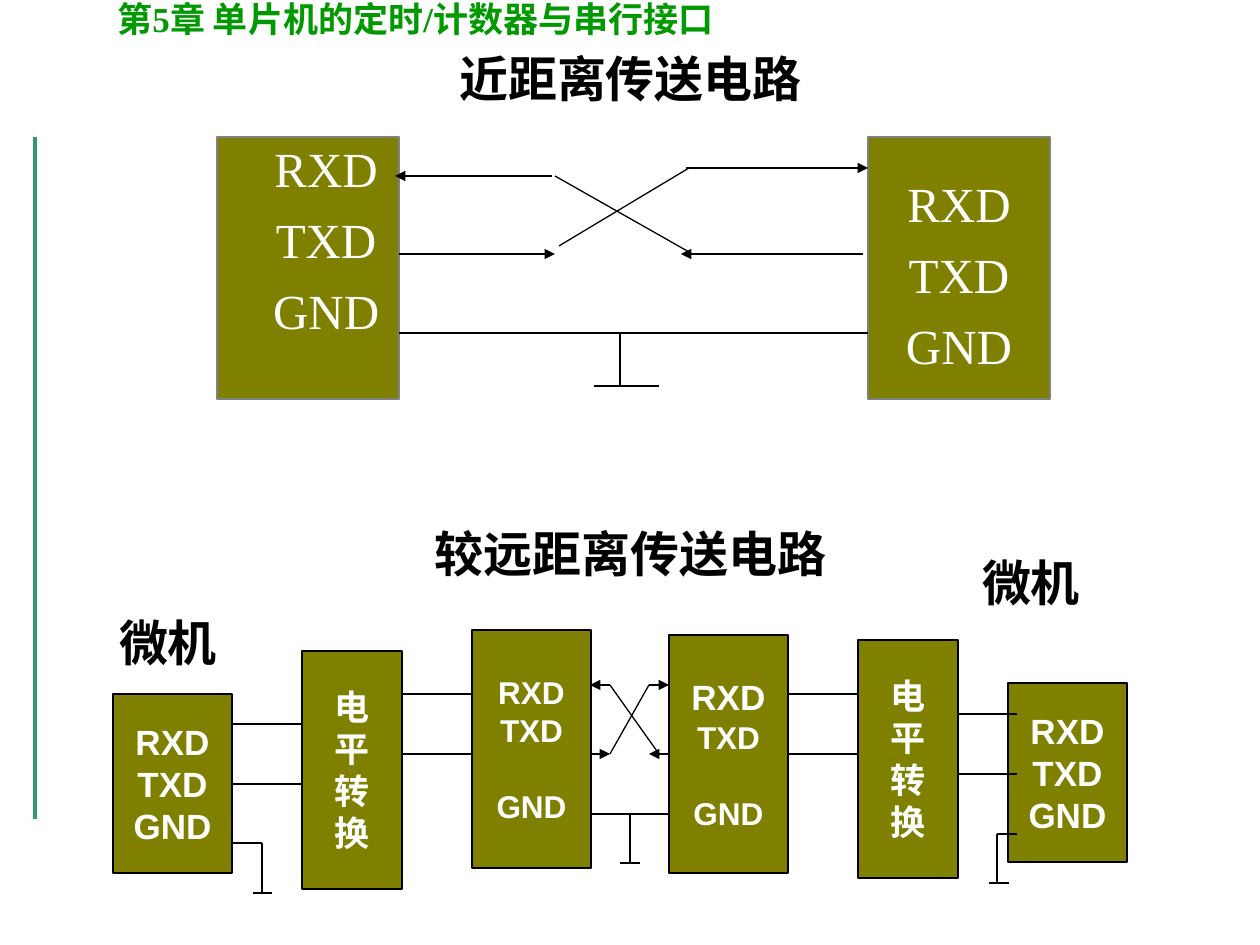
"""Build the slide on near and far serial transmission circuits."""
from lxml import etree
from pptx import Presentation
from pptx.dml.color import RGBColor
from pptx.enum.shapes import MSO_CONNECTOR, MSO_SHAPE
from pptx.enum.text import MSO_ANCHOR, PP_ALIGN
from pptx.oxml.ns import qn
from pptx.util import Emu, Pt

PX = 914400 // 126
RECTANGLE, STRAIGHT = MSO_SHAPE.RECTANGLE, MSO_CONNECTOR.STRAIGHT
TOP, MIDDLE = MSO_ANCHOR.TOP, MSO_ANCHOR.MIDDLE
LEFT, CENTER = PP_ALIGN.LEFT, PP_ALIGN.CENTER

BLACK = RGBColor(0x00, 0x00, 0x00)
WHITE = RGBColor(0xFF, 0xFF, 0xFF)
OLIVE = RGBColor(0x80, 0x80, 0x00)
GRAY = RGBColor(0x80, 0x80, 0x80)
SEA_GREEN = RGBColor(0x33, 0x99, 0x66)
CHAPTER_GREEN = RGBColor(0x00, 0x99, 0x00)
SERIF, SANS = "Times New Roman", "Arial"

CHAPTER = ("第5章 单片机的定时/计数器与串行接口", (105, -9, 724, 55))
TITLE = ("近距离传送电路", (410, 42, 441, 72))
LABELS = [
    ("较远距离传送电路", (410, 517, 441, 72)),
    ("微机", (44, 606, 248, 72)),
    ("微机", (922, 546, 218, 72)),
]

PINS = ["RXD", "TXD", "GND"]
LEVEL_SHIFT = ["电", "平", "转", "换"]
NEAR_BOXES = [((217, 137, 182, 262), 36, 70), ((868, 137, 182, 262), 0, 0)]
FAR_BOXES = [
    (PINS, (113, 694, 119, 179), [20, 20, 20], 0),
    (LEVEL_SHIFT, (302, 651, 100, 238), [20] * 4, 0),
    (PINS, (472, 630, 119, 238), [18, 18, 18], 22),
    (PINS, (669, 635, 119, 238), [20, 18, 18], 22),
    (LEVEL_SHIFT, (858, 640, 100, 238), [20] * 4, 0),
    (PINS, (1008, 683, 119, 179), [20, 20, 20], 0),
]

ARROWS = [
    (552, 176, 395, 176), (686, 168, 868, 168),
    (399, 254, 555, 254), (863, 254, 681, 254),
    (610, 685, 590, 685), (649, 685, 669, 685),
    (590, 754, 610, 754), (669, 754, 649, 754),
]
WIRES = [
    (555, 176, 689, 252), (559, 246, 689, 168), (399, 333, 868, 333),
    (610, 685, 659, 754), (649, 685, 610, 754), (590, 814, 669, 814),
    (233, 843, 262, 843), (997, 834, 1017, 834),
]
WIRE_PAIRS = [(233, 302, 724), (402, 471, 694), (789, 858, 694), (958, 1017, 714)]
PAIR_GAP = 60
GROUNDS = [
    (620, 333, 386, 594, 659), (262, 843, 893, 253, 272),
    (630, 814, 863, 620, 640), (997, 834, 883, 989, 1009),
]


def scale(lengths):
    return [Emu(length * PX) for length in lengths]


def write(box, lines, sizes, font, color, bold=True, align=CENTER, anchor=MIDDLE):
    frame = box.text_frame
    frame.word_wrap = True
    frame.vertical_anchor = anchor
    frame.text = "\n".join(lines)
    for para, size in zip(frame.paragraphs, sizes):
        para.alignment = align
        for span in para.runs:
            span.font.name = font
            span.font.size = Pt(size)
            span.font.bold = bold
            span.font.color.rgb = color
    return frame


def add_label(page, text, place, size=28, font=SANS, color=BLACK, align=CENTER):
    box = page.shapes.add_textbox(*scale(place))
    write(box, [text], [size], font, color, align=align, anchor=TOP)


def add_block(page, place, outline):
    box = page.shapes.add_shape(RECTANGLE, *scale(place))
    box.shadow.inherit = False
    box.fill.solid()
    box.fill.fore_color.rgb = OLIVE
    box.line.color.rgb = outline
    box.line.width = Pt(0.75)
    return box


def add_line(page, ends, color=BLACK, width=0.75, arrow=False):
    line = page.shapes.add_connector(STRAIGHT, *scale(ends))
    line.line.color.rgb = color
    line.line.width = Pt(width)
    if arrow:
        etree.SubElement(line.line._get_or_add_ln(), qn("a:tailEnd"), type="triangle")
    etree.SubElement(line._element.spPr, qn("a:effectLst"))


def main():
    deck = Presentation()
    deck.slide_width, deck.slide_height = scale((1260, 945))
    page = deck.slides.add_slide(deck.slide_layouts[5])

    title = page.shapes.title
    title.left, title.top, title.width, title.height = scale(TITLE[1])
    write(title, [TITLE[0]], [28], SANS, BLACK, anchor=TOP)

    add_line(page, (35, 137, 35, 819), SEA_GREEN, 2.25)
    add_label(page, *CHAPTER, 20, SERIF, CHAPTER_GREEN, LEFT)
    for text, place in LABELS:
        add_label(page, text, place)

    for place, shift_right, shift_up in NEAR_BOXES:
        box = add_block(page, place, GRAY)
        frame = write(box, PINS, [28] * 3, SERIF, WHITE, bold=False)
        frame.margin_left += shift_right * PX
        frame.margin_bottom += shift_up * PX
        for para in frame.paragraphs:
            para.line_spacing = 1.2

    for lines, place, sizes, last_gap in FAR_BOXES:
        box = add_block(page, place, BLACK)
        frame = write(box, lines, sizes, SANS, WHITE)
        frame.paragraphs[-1].space_before = Pt(last_gap)

    for ends in ARROWS:
        add_line(page, ends, arrow=True)
    for ends in WIRES:
        add_line(page, ends)
    for start, end, top in WIRE_PAIRS:
        for y in (top, top + PAIR_GAP):
            add_line(page, (start, y, end, y))
    for x, top, bottom, left, right in GROUNDS:
        add_line(page, (x, top, x, bottom))
        add_line(page, (left, bottom, right, bottom))

    deck.save("out.pptx")


if __name__ == "__main__":
    main()
